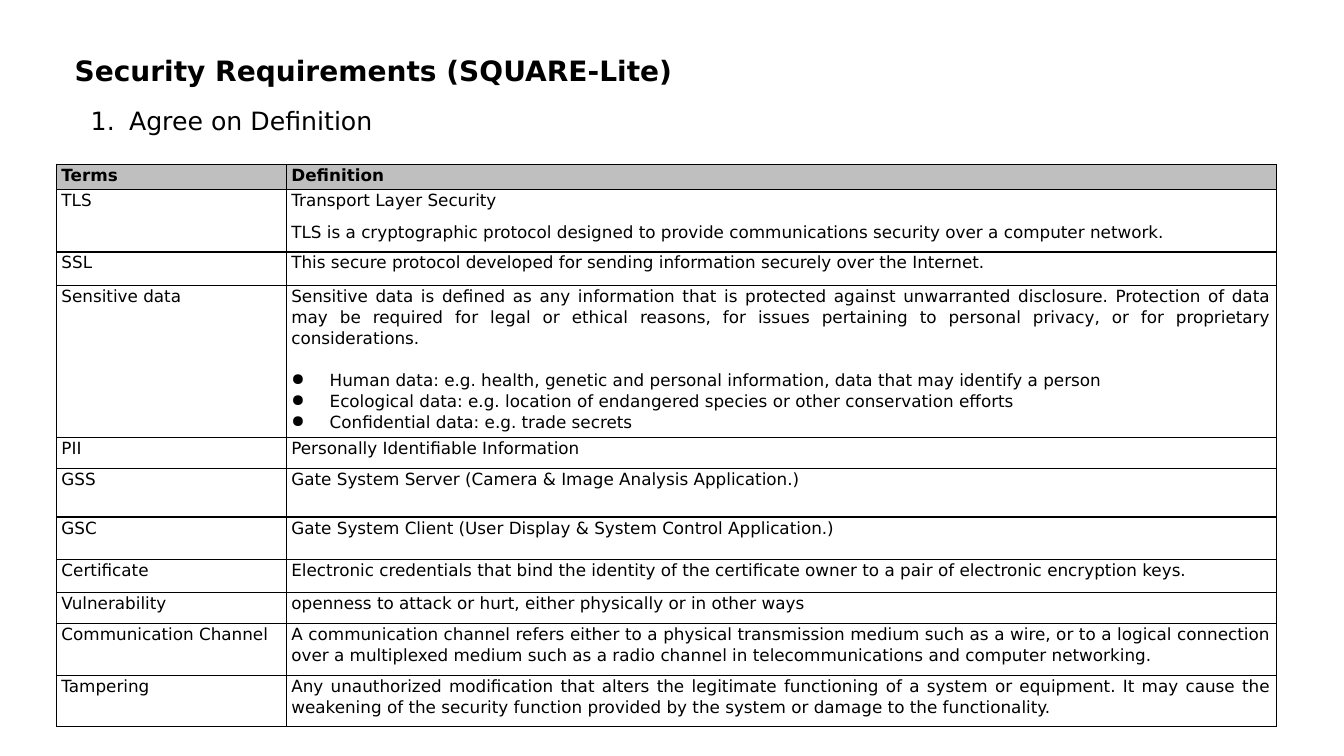
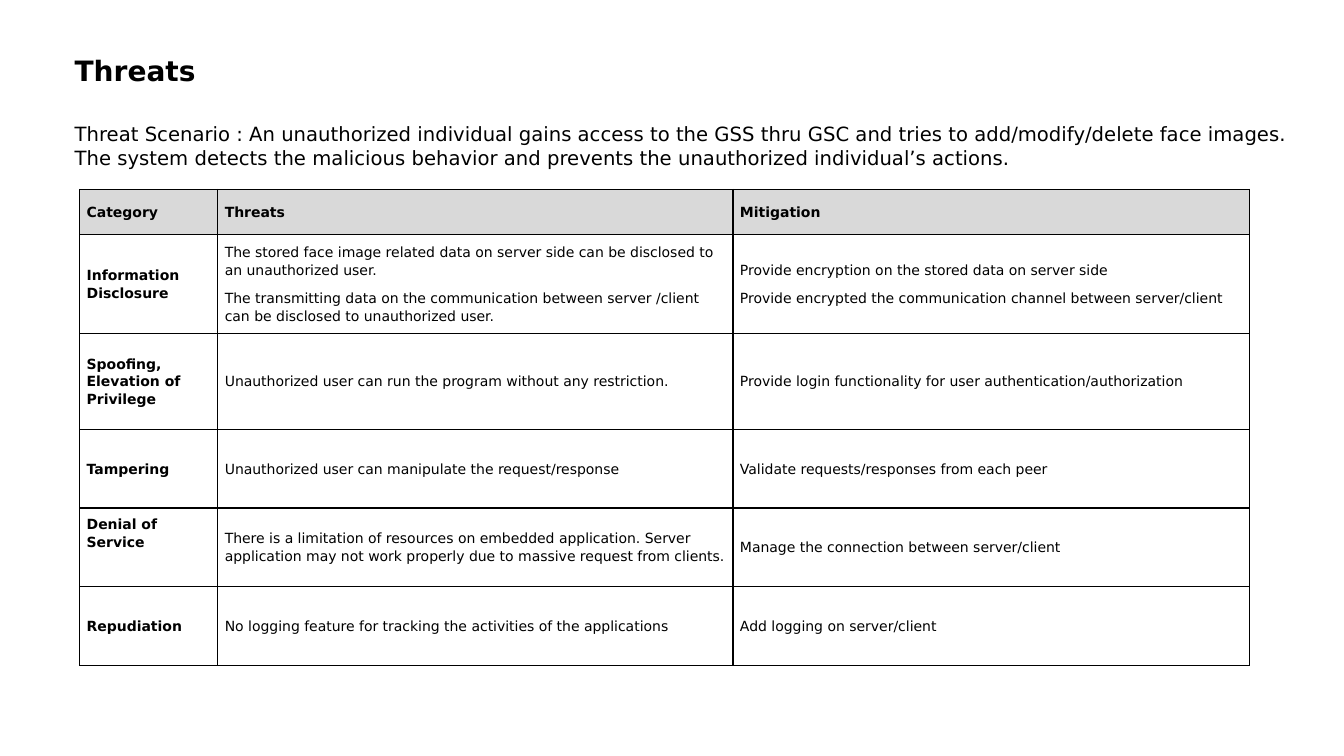
from pptx import Presentation, util as u
from pptx.dml.color import RGBColor
from pptx.enum import text
from pptx.oxml import parse_xml
from pptx.oxml.ns import nsdecls

PX = 9144
FONT = "DejaVu Sans"
HUES = {"ink": "000000", "paper": "FFFFFF", "gray": "BFBFBF", "pale": "D9D9D9"}
LEFT, JUST = text.PP_ALIGN.LEFT, text.PP_ALIGN.JUSTIFY
TOP, MID = text.MSO_ANCHOR.TOP, text.MSO_ANCHOR.MIDDLE
TITLE = (64, 26, 1150, 91)
DOT = '<a:buChar {} char="●"/>'
NUM = '<a:buAutoNum {} type="arabicPeriod"/>'
NONE = "<a:buNone {}/>"

TERMS = [
    ("Terms", "Definition"),
    ("TLS", ["Transport Layer Security",
             "TLS is a cryptographic protocol designed to provide communications security over a computer network."]),
    ("SSL", "This secure protocol developed for sending information securely over the Internet."),
    ("Sensitive data", [
        "Sensitive data is defined as any information that is protected against unwarranted disclosure. "
        "Protection of data may be required for legal or ethical reasons, for issues pertaining to personal "
        "privacy, or for proprietary considerations.",
        ("Human data: e.g. health, genetic and personal information, data that may identify a person",
         "Ecological data: e.g. location of endangered species or other conservation efforts",
         "Confidential data: e.g. trade secrets")]),
    ("PII", "Personally Identifiable Information"),
    ("GSS", "Gate System Server (Camera & Image Analysis Application.)"),
    ("GSC", "Gate System Client (User Display & System Control Application.)"),
    ("Certificate", "Electronic credentials that bind the identity of the certificate owner to a pair of "
                    "electronic encryption keys."),
    ("Vulnerability", "openness to attack or hurt, either physically or in other ways"),
    ("Communication Channel",
     "A communication channel refers either to a physical transmission medium such as a wire, or to a logical "
     "connection over a multiplexed medium such as a radio channel in telecommunications and computer networking."),
    ("Tampering",
     "Any unauthorized modification that alters the legitimate functioning of a system or equipment. It may cause "
     "the weakening of the security function provided by the system or damage to the functionality."),
]
THREATS = [
    ("Category", "Threats", "Mitigation"),
    ("Information Disclosure",
     ["The stored face image related data on server side can be disclosed to an unauthorized user.",
      "The transmitting data on the communication between server /client can be disclosed to unauthorized user."],
     ["Provide encryption on the stored data on server side",
      "Provide encrypted the communication channel between server/client"]),
    ("Spoofing, Elevation of Privilege",
     "Unauthorized user can run the program without any restriction.",
     "Provide login functionality for user authentication/authorization"),
    ("Tampering", "Unauthorized user can manipulate the request/response",
     "Validate requests/responses from each peer"),
    ("Denial of Service",
     "There is a limitation of resources on embedded application. Server application may not work properly due "
     "to massive request from clients.",
     "Manage the connection between server/client"),
    ("Repudiation", "No logging feature for tracking the activities of the applications",
     "Add logging on server/client"),
]
SLIDES = [
    dict(title="Security Requirements (SQUARE-Lite)",
         body=dict(words="Agree on Definition", box=(80, 97, 1082, 84), size=18, mark=NUM, align=JUST, lead=1.07),
         grid=dict(data=TERMS, at=(56, 163), cols=(228, 982),
                   rows=(25, 62, 33, 151, 31, 48, 42, 33, 31, 51, 51),
                   size=12, head="gray", fill=None, inset=5, anchor=TOP, align=JUST, bold=0, lift={})),
    dict(title="Threats",
         body=dict(words="Threat Scenario : An unauthorized individual gains access to the GSS thru GSC and tries to "
                         "add/modify/delete face images. The system detects the malicious behavior and prevents the "
                         "unauthorized individual’s actions.",
                   box=(64, 116, 1232, 57), size=14, mark=NONE, align=LEFT, lead=1.0),
         grid=dict(data=THREATS, at=(79, 188), cols=(137, 511, 512), rows=(45, 98, 95, 78, 78, 78),
                   size=10, head="pale", fill="paper", inset=7, anchor=MID, align=LEFT, bold=1,
                   lift={(4, 0): 28})),
]


def hue(name):
    return RGBColor.from_string(HUES[name])


def style(para, words, size, align, lead, bold=False, mark=None, after=0):
    para.text = words
    if mark:
        props = para._p.get_or_add_pPr()
        dent = 0 if mark == NONE else 38 * PX
        props.set("marL", str(dent))
        props.set("indent", str(-dent))
        props.append(parse_xml(mark.format(nsdecls("a"))))
    para.alignment, para.line_spacing = align, lead
    para.space_before, para.space_after = u.Pt(0), u.Pt(after)
    font = para.font
    font.name, font.size, font.bold = FONT, u.Pt(size), bold
    font.color.rgb = hue("ink")


def place(shape, box):
    shape.left, shape.top, shape.width, shape.height = (n * PX for n in box)
    frame = shape.text_frame
    frame.word_wrap, frame.auto_size = True, text.MSO_AUTO_SIZE.NONE
    return frame


def lines(item):
    if isinstance(item, str):
        return [(item, None, 0)]
    rows = []
    for i, part in enumerate(item):
        if isinstance(part, tuple):
            rows += [(words, DOT, 0) for words in part]
        else:
            last = i == len(item) - 1
            gap = 0 if last else 15 if isinstance(item[i + 1], tuple) else 8
            rows.append((part, None, gap))
    return rows


def edge(cell):
    props = cell._tc.get_or_add_tcPr()
    for side in "LRTB":
        props.append(parse_xml(
            f'<a:ln{side} {nsdecls("a")} w="12700"><a:solidFill><a:srgbClr val="{HUES["ink"]}"/>'
            f'</a:solidFill></a:ln{side}>'))


def draw(slide, data, at, cols, rows, size, head, fill, inset, anchor, align, bold, lift):
    box = (*at, sum(cols), sum(rows))
    table = slide.shapes.add_table(len(rows), len(cols), *(n * PX for n in box)).table
    table.first_row = table.horz_banding = False
    for col, wide in zip(table.columns, cols):
        col.width = wide * PX
    for r, (row, tall) in enumerate(zip(data, rows)):
        table.rows[r].height = tall * PX
        for c, item in enumerate(row):
            cell = table.cell(r, c)
            edge(cell)
            tint = fill if r else head
            if tint:
                cell.fill.solid()
                cell.fill.fore_color.rgb = hue(tint)
            else:
                cell.fill.background()
            cell.margin_left = cell.margin_right = inset * PX
            cell.margin_top, cell.margin_bottom = 0, lift.get((r, c), 0) * PX
            cell.vertical_anchor = anchor
            frame = cell.text_frame
            for i, (words, mark, gap) in enumerate(lines(item)):
                para = frame.add_paragraph() if i else frame.paragraphs[0]
                style(para, words, size, align, 1.07, r == 0 or c < bold, mark, gap)


def main():
    deck = Presentation()
    deck.slide_width, deck.slide_height = 1333 * PX, 750 * PX
    for page in SLIDES:
        slide = deck.slides.add_slide(deck.slide_layouts[1])
        frame = place(slide.shapes.title, TITLE)
        frame.vertical_anchor = MID
        style(frame.paragraphs[0], page["title"], 20, LEFT, 0.9, True)
        body = dict(page["body"])
        frame = place(slide.placeholders[1], body.pop("box"))
        style(frame.paragraphs[0], **body)
        draw(slide, **page["grid"])
    deck.save("out.pptx")


if __name__ == "__main__":
    main()
